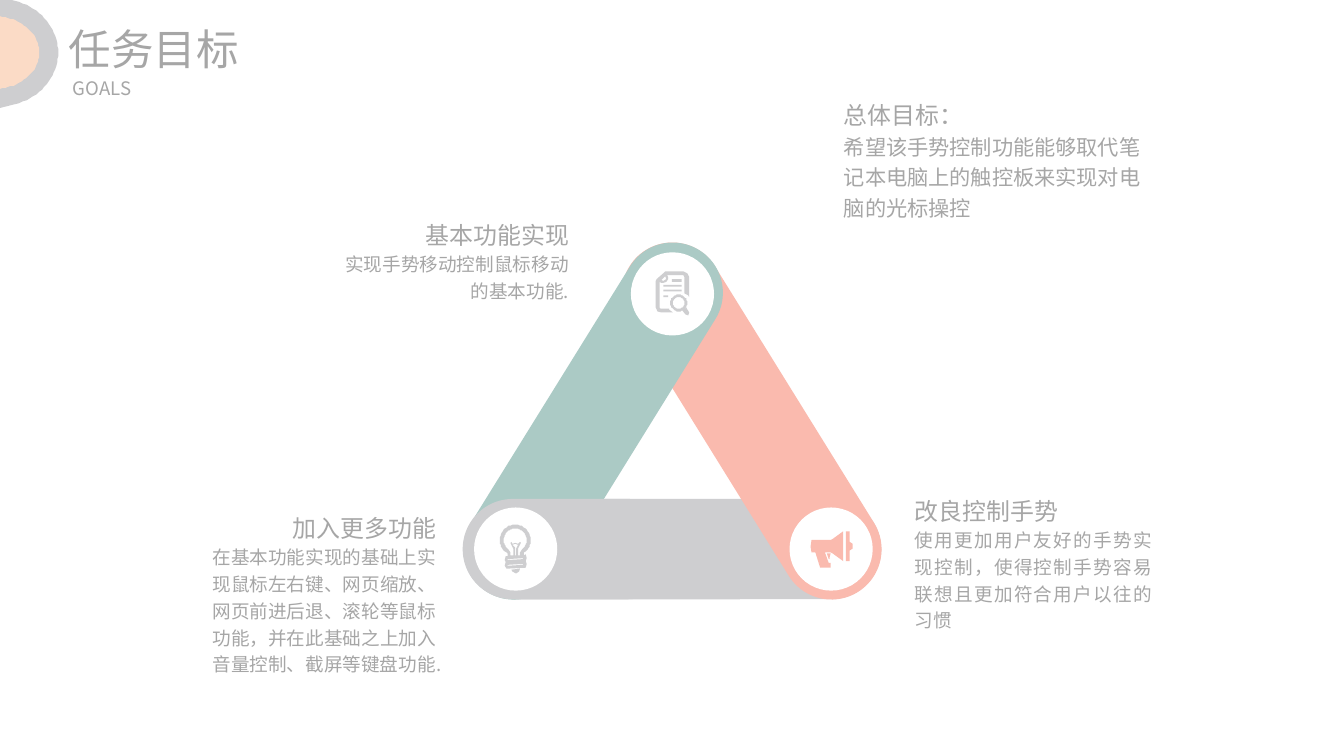
from math import acos, cos, pi, radians, sin

from lxml.etree import SubElement
from pptx import Presentation
from pptx.dml.color import RGBColor
from pptx.enum.shapes import MSO_SHAPE
from pptx.enum.text import MSO_ANCHOR, PP_ALIGN
from pptx.oxml.ns import qn
from pptx.util import Pt

PX = 9144  # EMU per px, 100 px to the inch
FONT = "Noto Sans CJK SC"
WHITE = RGBColor(0xFF, 0xFF, 0xFF)
TEXT_GRAY = RGBColor(0xA6, 0xA6, 0xA6)
GRAY = RGBColor(0xCE, 0xCE, 0xD0)
CORAL = RGBColor(0xFA, 0xBA, 0xAE)
GREEN = RGBColor(0xAB, 0xCA, 0xC5)
PEACH = RGBColor(0xFB, 0xDB, 0xC6)


def paint(shape, color):
    shape.shadow.inherit = False
    shape.fill.solid()
    shape.fill.fore_color.rgb = color
    shape.line.fill.background()


def add_preset(slide, kind, box, color, rotation=0):
    shape = slide.shapes.add_shape(kind, *(length * PX for length in box))
    shape.rotation = rotation
    paint(shape, color)
    return shape


def add_outline(slide, contours, left, top, color):
    """Draw closed contours as one shape; a contour inside another is a hole."""
    builder = None
    for contour in contours:
        (x, y), *others = [(left + x, top + y) for x, y in contour]
        if builder is None:
            builder = slide.shapes.build_freeform(x, y, scale=PX)
        else:
            builder.move_to(x, y)
        builder.add_line_segments(others, close=True)
    paint(builder.convert_to_shape(), color)


def arc(center_x, center_y, radius_x, radius_y, start=0, end=360, steps=48):
    angles = [radians(start + (end - start) * i / steps) for i in range(steps + 1)]
    return [(center_x + radius_x * cos(a), center_y + radius_y * sin(a)) for a in angles]


def rectangle(left, top, width, height):
    right, bottom = left + width, top + height
    return [(left, top), (right, top), (right, bottom), (left, bottom)]


def add_text(slide, text, box, size=14, align=PP_ALIGN.LEFT, spacing=1.2,
             margins=(10, 5, 10, 5), anchor=MSO_ANCHOR.TOP):
    """Add a text box; text may be a list of (text, size) paragraphs."""
    shape = slide.shapes.add_textbox(*(length * PX for length in box))
    frame = shape.text_frame
    frame.word_wrap = True
    frame.vertical_anchor = anchor
    (frame.margin_left, frame.margin_top,
     frame.margin_right, frame.margin_bottom) = (margin * PX for margin in margins)
    lines = [(text, size)] if isinstance(text, str) else text
    for index, (line, line_size) in enumerate(lines):
        paragraph = frame.add_paragraph() if index else frame.paragraphs[0]
        paragraph.alignment = align
        paragraph.line_spacing = spacing
        run = paragraph.add_run()
        run.text = line
        run.font.size = Pt(line_size)
        run.font.name = FONT
        run.font.color.rgb = TEXT_GRAY
        SubElement(run.font._element, qn("a:ea"), typeface=FONT)


def add_document_icon(slide, left, top, color):
    page = [(10, 0), (29, 0), (33, 2), (35, 6), (35, 27), (34, 25), (30, 23), (30, 6),
            (29, 4), (12, 4), (13, 6), (13, 8), (11, 11), (8, 12), (6, 12), (4, 11),
            (4, 38), (5, 39), (14, 39), (14, 40), (18, 43), (6, 43), (2, 42), (0, 38),
            (0, 10), (1, 8), (9, 1)]
    fold = [(10, 5), (6, 9), (8, 10), (11, 8)]
    text_lines = [rectangle(17, 8, 10, 3), rectangle(8, 14, 19, 2),
                  rectangle(8, 19, 19, 2), rectangle(8, 25, 5, 2)]
    lens = [arc(24, 33, 9, 9), arc(24, 33, 6, 6)]
    handle = [(28, 41), (31, 45), (34, 46), (35, 43), (32, 38)]
    add_outline(slide, [page, fold, *text_lines, *lens, handle], left, top, color)


def add_bulb_icon(slide, left, top, color):
    bulb = arc(16, 16, 16, 16, 125, 415) + [
        (25, 32), (27, 31), (28, 35), (27, 38), (28, 41), (27, 45), (7, 46),
        (5, 43), (6, 39), (5, 37), (6, 33), (8, 33), (8, 30)]
    glass = arc(16, 16, 12, 12, 125, 415) + [
        (21, 29), (21, 32), (19, 32), (19, 25), (22, 19), (21, 18), (19, 20),
        (16, 19), (13, 20), (12, 18), (11, 19), (14, 25), (14, 32), (11, 32), (11, 29)]
    filament = [(19, 21), (16, 20), (13, 21), (16, 24), (16, 32), (17, 32), (17, 25)]
    slits = [[(8, y + 1), (24, y), (24, y + 1), (8, y + 2)] for y in (35, 41)]
    cap = [(12, 47), (21, 46), (20, 49), (17, 51), (13, 49)]
    add_outline(slide, [bulb, glass, filament, *slits, cap], left, top, color)


def add_megaphone_icon(slide, left, top, color):
    horn = [(1, 9), (21, 9), (23, 8), (34, 0), (34, 31), (23, 23), (21, 22), (15, 22),
            (19, 33), (21, 33), (21, 38), (10, 38), (5, 22), (1, 22), (0, 16)]
    rim = [(37, 0), (41, 0), (41, 11), (44, 13), (44, 18), (41, 20), (41, 31), (37, 31)]
    trigger = [(21, 23), (17, 23), (19, 29), (20, 29), (20, 27)]
    add_outline(slide, [horn, rim, trigger], left, top, color)


def add_triangle(slide, left, top):
    bars = [(2, 262, 436, GRAY, 0), (92, 128, 421, CORAL, 58.2),
            (-74, 128, 421, GREEN, 301.8), (0, 262, 225, GRAY, 0)]
    for x, y, width, color, rotation in bars:
        bar = add_preset(slide, MSO_SHAPE.ROUNDED_RECTANGLE,
                         (left + x, top + y, width, 105), color, rotation)
        bar.adjustments[0] = 0.5
    # Corner disc, icon offset inside it, icon colour
    corners = [(176, 4, add_document_icon, 26, 20, GRAY),
               (12, 271, add_bulb_icon, 27, 18, GRAY),
               (342, 271, add_megaphone_icon, 22, 25, CORAL)]
    for x, y, add_icon, icon_x, icon_y, color in corners:
        add_preset(slide, MSO_SHAPE.OVAL, (left + x, top + y, 87, 87), WHITE)
        add_icon(slide, left + x + icon_x, top + y + icon_y, color)


def add_goal(slide, box, heading, body, heading_align, body_align):
    left, top, width, height = box
    add_text(slide, heading, (left, top, width, 43), size=18, align=heading_align)
    add_text(slide, body, (left, top + 35, width, height - 35), align=body_align)


def add_header(slide, left, top):
    middle = top + 55
    for center_x, radius_x, radius_y, color in ((-8, 69, 58, GRAY), (-6, 47, 38, PEACH)):
        limit = acos(-center_x / radius_x) * 180 / pi
        half_disc = arc(center_x, middle, radius_x, radius_y, -limit, limit)
        add_outline(slide, [half_disc], left, 0, color)
    add_text(slide, "任务目标", (left + 72, top + 24, 432, 54), size=32, spacing=1.0,
             margins=(0, 0, 0, 0), anchor=MSO_ANCHOR.MIDDLE)
    add_text(slide, "GOALS", (left + 72, top + 80, 307, 24), spacing=1.0,
             margins=(4, 0, 0, 0), anchor=MSO_ANCHOR.MIDDLE)


def build_goals_slide(slide):
    add_triangle(slide, 484, 260)
    add_goal(slide, (947, 509, 268, 156), "改良控制手势",
             "使用更加用户友好的手势实现控制，使得控制手势容易联想且更加符合用户以往的习惯",
             PP_ALIGN.LEFT, PP_ALIGN.JUSTIFY)
    add_goal(slide, (346, 220, 259, 99), "基本功能实现",
             "实现手势移动控制鼠标移动的基本功能.", PP_ALIGN.RIGHT, PP_ALIGN.RIGHT)
    add_goal(slide, (207, 527, 259, 184), "加入更多功能",
             "在基本功能实现的基础上实现鼠标左右键、网页缩放、网页前进后退、滚轮等鼠标功能，"
             "并在此基础之上加入音量控制、截屏等键盘功能.", PP_ALIGN.RIGHT, PP_ALIGN.RIGHT)
    add_header(slide, 0, 0)
    add_text(slide, [("总体目标：", 18),
                     ("希望该手势控制功能能够取代笔记本电脑上的触控板来实现对电脑的光标操控", 16)],
             (873, 94, 345, 141))


def main():
    presentation = Presentation()
    presentation.slide_width = 1406 * PX
    presentation.slide_height = 791 * PX
    build_goals_slide(presentation.slides.add_slide(presentation.slide_layouts[6]))
    presentation.save("out.pptx")


if __name__ == "__main__":
    main()
